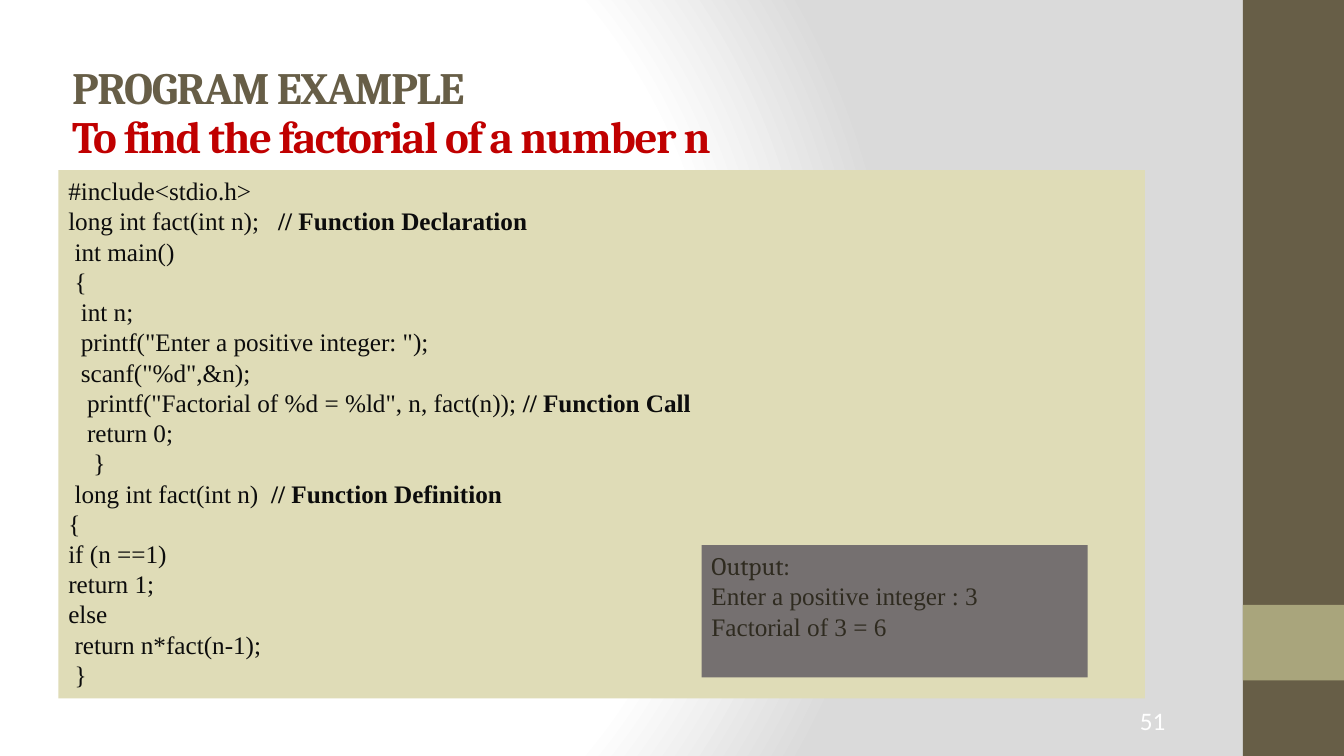
from dataclasses import dataclass

from lxml.etree import SubElement
from pptx import Presentation
from pptx.dml.color import RGBColor as Rgb
from pptx.enum.shapes import MSO_SHAPE as Shape
from pptx.enum.text import MSO_ANCHOR as Anchor, MSO_AUTO_SIZE as Fit, PP_ALIGN as Align
from pptx.oxml.ns import qn
from pptx.util import Cm, Pt


@dataclass(frozen=True)
class Theme:
    brown: str = "675E47"
    olive: str = "A9A57C"
    sand: str = "DFDCB7"
    stone: str = "757070"
    red: str = "C00000"
    ink: str = "0C0C0C"
    dark: str = "2F2B20"
    white: str = "FFFFFF"
    mist: str = "DADADA"
    head: str = "Cambria"
    code: str = "Times New Roman"
    plain: str = "Calibri"
    big: int = 32
    small: int = 18


THEME = Theme()
WIDE, HIGH = 33.87, 19.05
PAD_X, PAD_Y = 0.25, 0.13

# Each line is its code and its comment
CODE = [
    ("#include<stdio.h>", ""),
    ("long int fact(int n);   ", "// Function Declaration"),
    (" int main()", ""),
    (" {", ""),
    ("  int n;", ""),
    ('  printf("Enter a positive integer: ");', ""),
    ('  scanf("%d",&n);', ""),
    ('   printf("Factorial of %d = %ld", n, fact(n)); ', "// Function Call"),
    ("   return 0;", ""),
    ("    }", ""),
    (" long int fact(int n)  ", "// Function Definition"),
    ("{", ""),
    ("if (n ==1)", ""),
    ("return 1;", ""),
    ("else", ""),
    (" return n*fact(n-1);", ""),
    (" }", ""),
]


def place(shape, box):
    shape.left, shape.top, shape.width, shape.height = map(Cm, box)


def paint(shape, color):
    shape.fill.solid()
    shape.fill.fore_color.rgb = Rgb.from_string(color)


def block(slide, box, color):
    shape = slide.shapes.add_shape(Shape.RECTANGLE, *map(Cm, box))
    shape.shadow.inherit = False
    paint(shape, color)
    shape.line.fill.background()
    return shape


def frame(shape, anchor=Anchor.TOP, top=PAD_Y):
    text = shape.text_frame
    text.word_wrap = True
    text.auto_size = Fit.NONE
    text.vertical_anchor = anchor
    text.margin_left = text.margin_right = Cm(PAD_X)
    text.margin_top, text.margin_bottom = Cm(top), Cm(PAD_Y)
    return text


def line(text, first, align=Align.LEFT, space=1.0):
    para = text.paragraphs[0] if first else text.add_paragraph()
    para.alignment = align
    para.line_spacing = space
    para.space_before = para.space_after = Pt(0)
    return para


def write(para, words, font=THEME.code, size=THEME.small, color=THEME.ink,
          bold=False, track=None):
    run = para.add_run()
    run.text = words
    run.font.name, run.font.size, run.font.bold = font, Pt(size), bold
    run.font.color.rgb = Rgb.from_string(color)
    if track is not None:
        run._r.get_or_add_rPr().set("spc", str(track * 100))


# Background: round gradient
def backdrop(slide):
    slide.background.fill.gradient()
    grad = slide.element.find(".//" + qn("a:gradFill"))
    for child in list(grad):
        grad.remove(child)
    stops = SubElement(grad, qn("a:gsLst"))
    for pos, color in [(0, THEME.white), (75, THEME.white), (100, THEME.mist)]:
        stop = SubElement(stops, qn("a:gs"), pos=str(pos * 1000))
        SubElement(stop, qn("a:srgbClr"), val=color)
    round_ = SubElement(grad, qn("a:path"), path="circle")
    SubElement(round_, qn("a:fillToRect"), l="20000", t="50000", r="100000", b="50000")


# Side band with its accent
def band(slide, box):
    left, top, width, height = box
    block(slide, box, THEME.brown)
    block(slide, (left, top + height * 0.8, width, height / 10), THEME.olive)


# Two-line title
def title(slide, box):
    shape = slide.shapes.title
    place(shape, box)
    para = line(frame(shape, Anchor.MIDDLE, top=1.35), True, space=0.9)
    style = dict(font=THEME.head, size=THEME.big, bold=True, track=-1)
    write(para, "PROGRAM EXAMPLE", color=THEME.brown, **style)
    para.add_line_break()
    write(para, "To find the factorial of a number n", color=THEME.red, **style)


# Program listing
def listing(slide, box):
    shape = slide.placeholders[1]
    place(shape, box)
    paint(shape, THEME.sand)
    text = frame(shape)
    for i, (code, note) in enumerate(CODE):
        para = line(text, i == 0)
        props = para._p.get_or_add_pPr()
        props.set("marL", str(Cm(0.64)))
        props.set("indent", str(-Cm(0.64)))
        SubElement(props, qn("a:buNone"))
        write(para, code)
        if note:
            write(para, note, bold=True)


# Slide number
def number(slide, box):
    shape = slide.shapes.add_textbox(*map(Cm, box))
    para = line(frame(shape, Anchor.MIDDLE), True, Align.RIGHT)
    write(para, "51", font=THEME.plain, color=THEME.white)


# Program output
def output(slide, box):
    text = frame(block(slide, box, THEME.stone))
    rows = [("Output:", THEME.head),
            ("Enter a positive integer : 3", THEME.code),
            ("Factorial of 3 = 6", THEME.code)]
    for i, (words, font) in enumerate(rows):
        write(line(text, i == 0), words, font=font, color=THEME.dark)


def main():
    deck = Presentation()
    deck.slide_width, deck.slide_height = Cm(WIDE), Cm(HIGH)
    slide = deck.slides.add_slide(deck.slide_layouts[1])
    backdrop(slide)
    band(slide, (31.32, 0, WIDE - 31.32, HIGH))
    title(slide, (1.57, 0.84, 28.04, 2.87))
    listing(slide, (1.47, 4.29, 27.38, 13.31))
    number(slide, (22, 17.65, 7.62, 1.02))
    output(slide, (17.68, 13.74, 9.73, 3.33))
    deck.save("out.pptx")


if __name__ == "__main__":
    main()
